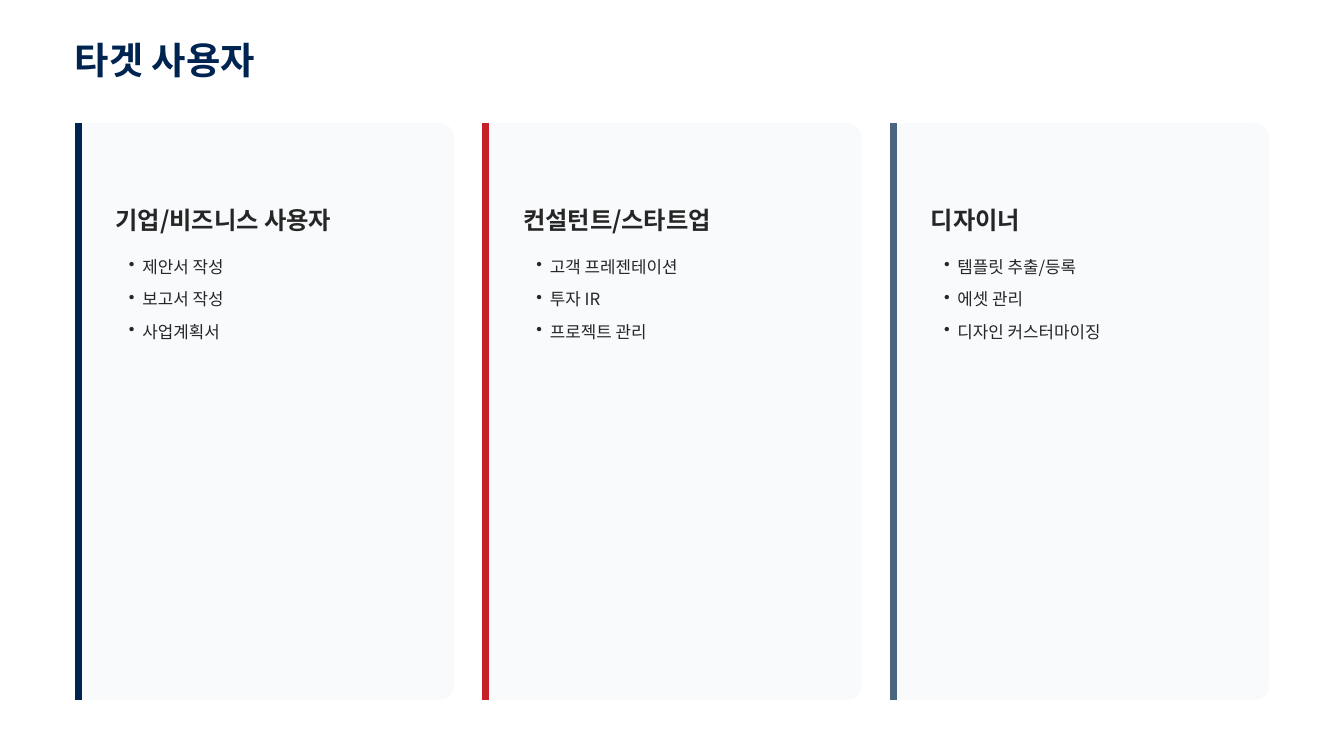
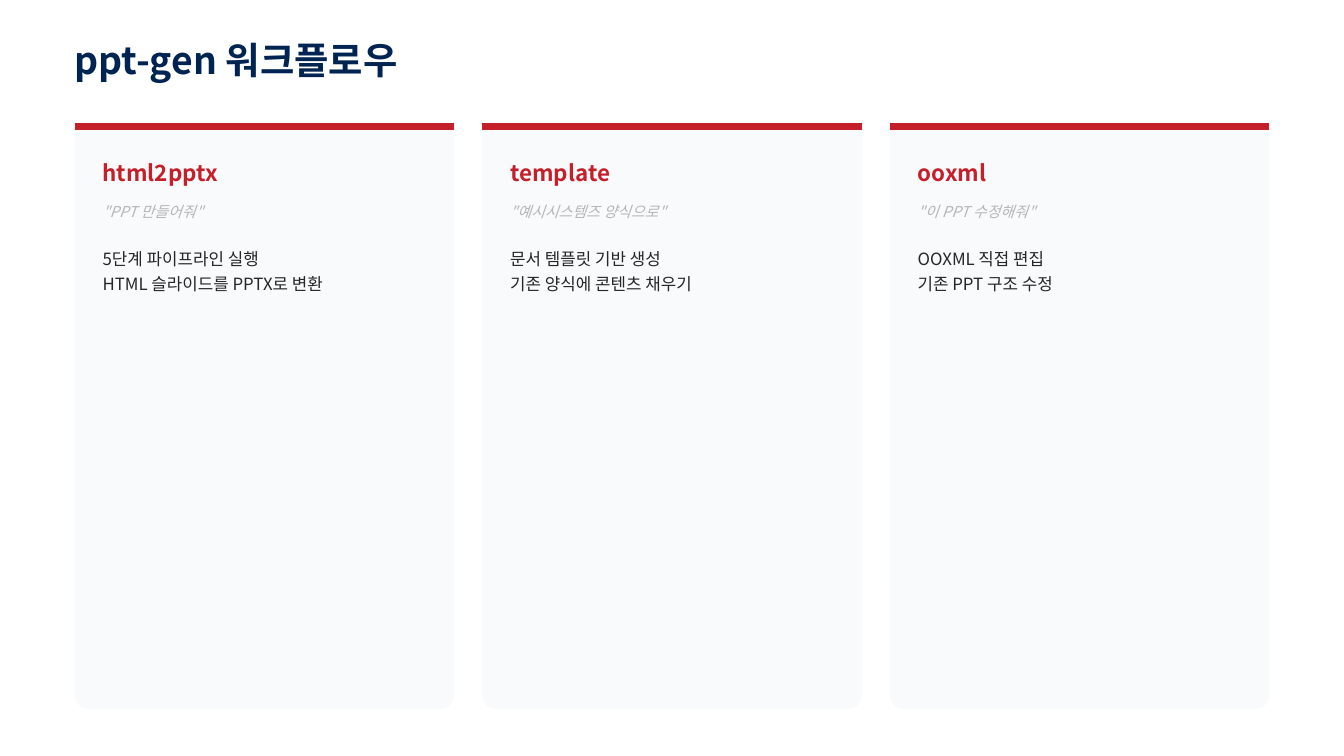
from dataclasses import dataclass
from typing import Optional

from lxml import etree
from pptx import Presentation
from pptx import util as u
from pptx.dml.color import RGBColor
from pptx.enum import shapes, text
from pptx.oxml.ns import qn

# The page is a grid of square cells.
COLUMNS, ROWS = 144, 81
CELL = u.Inches(10) / COLUMNS

MARGIN, GAP, CARD_COUNT = 8, 3, 3
CARD_TOP = 13.2
CARD_WIDTH = (COLUMNS - 2 * MARGIN - (CARD_COUNT - 1) * GAP) / CARD_COUNT
BAR_INSET = 0.38


@dataclass(frozen=True)
class Theme:
    font: str = "Noto Sans CJK KR"
    navy: str = "002452"
    red: str = "C51F2A"
    slate: str = "4B6580"
    ink: str = "262626"
    muted: str = "B6B6B6"
    card: str = "F8FAFC"
    title_size: float = 20
    user_size: float = 13
    tool_size: float = 12
    body_size: float = 9
    quote_size: float = 8
    bar_width: float = 3.75
    corner: float = 0.039


THEME = Theme()


@dataclass(frozen=True)
class Area:
    """A rectangle in grid cells."""
    left: float
    top: float
    width: float
    height: float

    def emu(self) -> tuple[int, ...]:
        return tuple(round(side * CELL)
                     for side in (self.left, self.top, self.width, self.height))


@dataclass(frozen=True)
class Style:
    size: float
    color: str
    bold: bool = False
    italic: bool = False
    leading: Optional[float] = None
    after: float = 0
    bullet: bool = False


@dataclass(frozen=True)
class UserGroup:
    name: str
    color: str
    tasks: tuple[str, ...]


@dataclass(frozen=True)
class Workflow:
    name: str
    request: str
    steps: tuple[str, ...]


TITLE = Style(THEME.title_size, THEME.navy, bold=True)
USER_NAME = Style(THEME.user_size, THEME.ink, bold=True, after=8)
TASK = Style(THEME.body_size, THEME.ink, leading=12.6, after=5, bullet=True)
TOOL_NAME = Style(THEME.tool_size, THEME.red, bold=True, after=8)
REQUEST = Style(THEME.quote_size, THEME.muted, italic=True, after=10)
STEP = Style(THEME.body_size, THEME.ink, leading=13.5)

USER_GROUPS = (
    UserGroup("기업/비즈니스 사용자", THEME.navy,
              ("제안서 작성", "보고서 작성", "사업계획서")),
    UserGroup("컨설턴트/스타트업", THEME.red,
              ("고객 프레젠테이션", "투자 IR", "프로젝트 관리")),
    UserGroup("디자이너", THEME.slate,
              ("템플릿 추출/등록", "에셋 관리", "디자인 커스터마이징")),
)

WORKFLOWS = (
    Workflow("html2pptx", '"PPT 만들어줘"',
             ("5단계 파이프라인 실행", "HTML 슬라이드를 PPTX로 변환")),
    Workflow("template", '"예시시스템즈 양식으로"',
             ("문서 템플릿 기반 생성", "기존 양식에 콘텐츠 채우기")),
    Workflow("ooxml", '"이 PPT 수정해줘"',
             ("OOXML 직접 편집", "기존 PPT 구조 수정")),
)


def add_bullet(para) -> None:
    indent = u.Inches(0.1)
    properties = para._p.get_or_add_pPr()
    properties.set("marL", str(indent))
    properties.set("indent", str(-indent))
    bullet = etree.Element(qn("a:buChar"), char="•")
    properties.find(qn("a:defRPr")).addprevious(bullet)


def format_paragraph(para, style: Style) -> None:
    font = para.font
    font.size = u.Pt(style.size)
    font.bold, font.italic = style.bold, style.italic
    font.color.rgb = RGBColor.from_string(style.color)
    font.name = THEME.font
    # Hangul takes its typeface from the East Asian slot.
    etree.SubElement(font._rPr, qn("a:ea"), typeface=THEME.font)
    para.alignment = text.PP_ALIGN.LEFT
    para.space_before, para.space_after = u.Pt(0), u.Pt(style.after)
    if style.leading:
        para.line_spacing = u.Pt(style.leading)
    if style.bullet:
        add_bullet(para)


def fill_text(box, lines: tuple[str, ...], style: Style) -> None:
    frame = box.text_frame
    frame.word_wrap = True
    frame.auto_size = text.MSO_AUTO_SIZE.NONE
    frame.vertical_anchor = text.MSO_ANCHOR.TOP
    frame.margin_left = u.Inches(0.1 if style.bullet else 0)
    frame.margin_top = frame.margin_right = frame.margin_bottom = 0
    frame.text = "\n".join(lines)
    for para in frame.paragraphs:
        format_paragraph(para, style)


def add_text(page, area: Area, lines: tuple[str, ...], style: Style) -> None:
    fill_text(page.shapes.add_textbox(*area.emu()), lines, style)


def add_page(deck, title: str):
    page = deck.slides.add_slide(deck.slide_layouts.get_by_name("Title Only"))
    box = page.shapes.title
    box.left, box.top, box.width, box.height = Area(MARGIN, 4, 130.6, 5.2).emu()
    fill_text(box, (title,), TITLE)
    return page


def card_area(index: int, height: float) -> Area:
    return Area(MARGIN + index * (CARD_WIDTH + GAP), CARD_TOP, CARD_WIDTH, height)


def add_card(page, area: Area) -> None:
    card = page.shapes.add_shape(shapes.MSO_SHAPE.ROUNDED_RECTANGLE, *area.emu())
    card.adjustments[0] = THEME.corner
    card.fill.solid()
    card.fill.fore_color.rgb = RGBColor.from_string(THEME.card)
    card.line.fill.background()
    card.shadow.inherit = False


def add_bar(page, area: Area, color: str) -> None:
    """Draw a line from the area's top left to its bottom right corner."""
    left, top, width, height = area.emu()
    bar = page.shapes.add_connector(shapes.MSO_CONNECTOR.STRAIGHT,
                                    left, top, left + width, top + height)
    bar.line.width = u.Pt(THEME.bar_width)
    bar.line.color.rgb = RGBColor.from_string(color)
    etree.SubElement(bar._element.spPr, qn("a:effectLst"))


def add_user_card(page, index: int, group: UserGroup) -> None:
    area = card_area(index, 61.8)
    add_card(page, area)
    add_bar(page, Area(area.left + BAR_INSET, area.top, 0, area.height), group.color)
    left = area.left + 4.4
    add_text(page, Area(left, 22, 33.4, 3.5), (group.name,), USER_NAME)
    add_text(page, Area(left, 27.1, 32.7, 10.5), group.tasks, TASK)


def add_workflow_card(page, index: int, workflow: Workflow) -> None:
    area = card_area(index, 62.8)
    add_card(page, area)
    add_bar(page, Area(area.left, area.top + BAR_INSET, area.width, 0), THEME.red)
    left, width = area.left + 3, 35.4
    add_text(page, Area(left, 17, width, 3.2), (workflow.name,), TOOL_NAME)
    add_text(page, Area(left, 21.75, width, 2.3), (workflow.request,), REQUEST)
    add_text(page, Area(left, 26.06, width, 5.4), workflow.steps, STEP)


def main() -> None:
    deck = Presentation()
    deck.slide_width = round(COLUMNS * CELL)
    deck.slide_height = round(ROWS * CELL)

    page = add_page(deck, "타겟 사용자")
    for index, group in enumerate(USER_GROUPS):
        add_user_card(page, index, group)

    page = add_page(deck, "ppt-gen 워크플로우")
    for index, workflow in enumerate(WORKFLOWS):
        add_workflow_card(page, index, workflow)

    deck.save("out.pptx")


if __name__ == "__main__":
    main()
